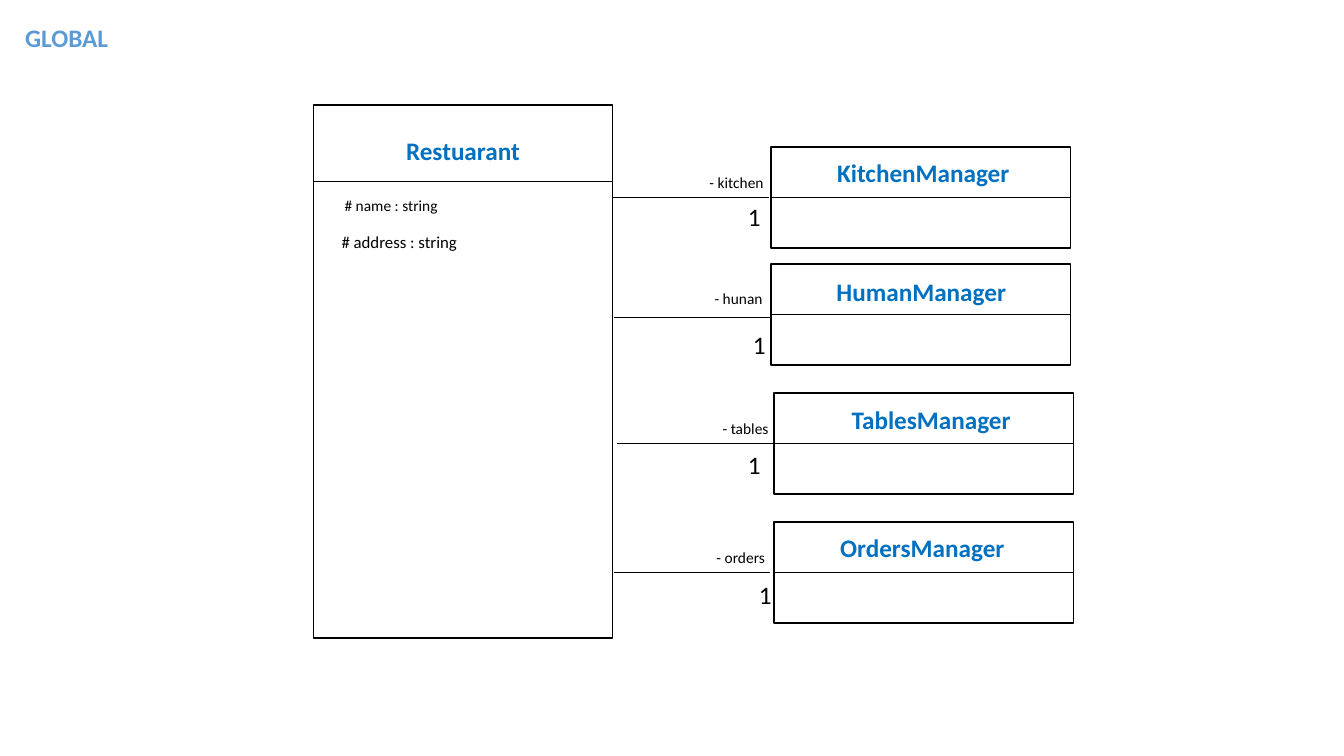
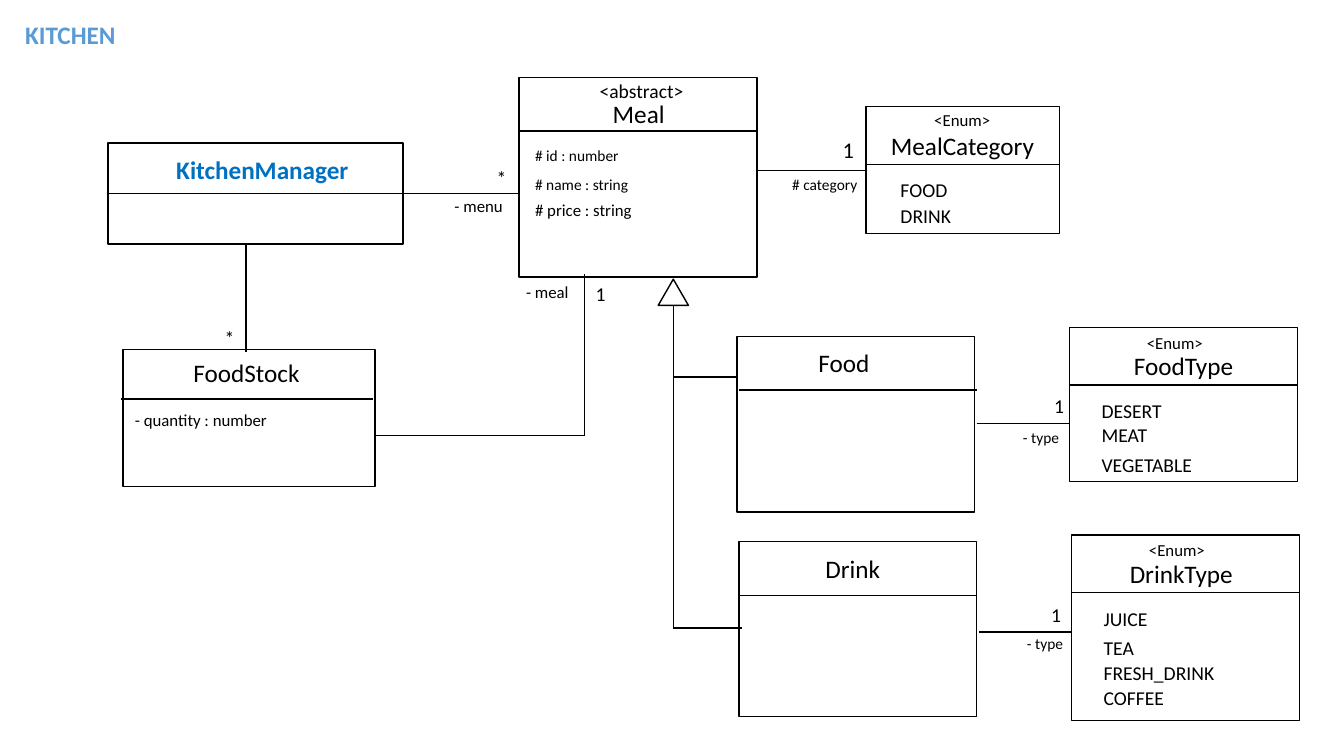
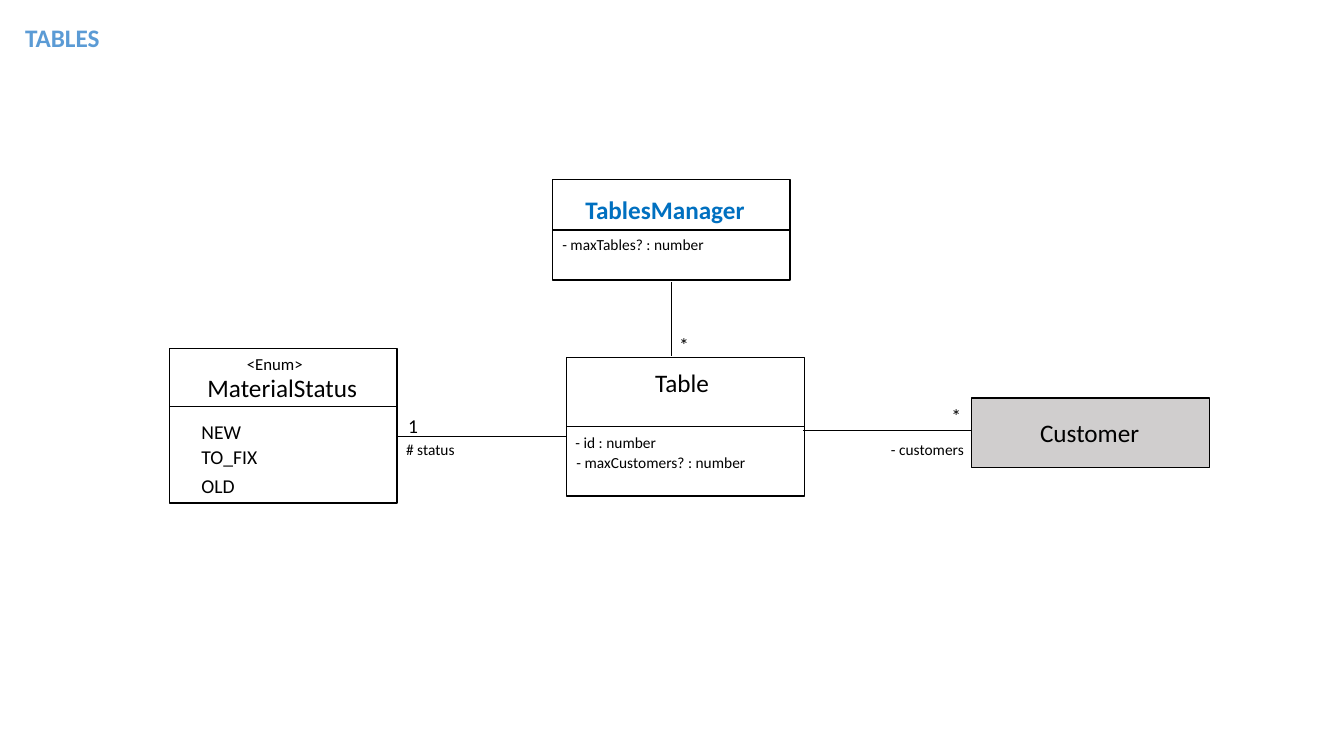
import pptx
import pptx.dml.color
import pptx.enum.shapes
import pptx.enum.text
import pptx.oxml.ns
import pptx.util
import lxml.etree

RGBColor = pptx.dml.color.RGBColor
MSO_SHAPE = pptx.enum.shapes.MSO_SHAPE
PP_ALIGN = pptx.enum.text.PP_ALIGN

BLACK = RGBColor(0x00, 0x00, 0x00)
WHITE = RGBColor(0xFF, 0xFF, 0xFF)
GREY = RGBColor(0xD0, 0xCE, 0xCE)
TITLE_BLUE = RGBColor(0x5B, 0x9B, 0xD5)
MANAGER_BLUE = RGBColor(0x00, 0x70, 0xC0)
FONT = "Calibri"

CELL = 0.1
COLS, ROWS = 133.33, 75
MANAGER_H = 10
ENUM_HEAD = 5.7


def cells(n):
    return pptx.util.Inches(n * CELL)


def label(s, x, y, w, text, size=11, color=BLACK, bold=False, align=PP_ALIGN.LEFT):
    h = (size * 1.2 / 72 + 0.1) / CELL
    sp = s.shapes.add_textbox(cells(x), cells(y), cells(w), cells(h))
    tf = sp.text_frame
    tf.word_wrap = True
    tf.auto_size = pptx.enum.text.MSO_AUTO_SIZE.SHAPE_TO_FIT_TEXT
    p = tf.paragraphs[0]
    p.text = text
    p.alignment = align
    p.font.name = FONT
    p.font.size = pptx.util.Pt(size)
    p.font.bold = bold
    p.font.color.rgb = color


def labels(s, items):
    for item in items:
        label(s, *item)


def outline(s, x, y, w, h, fill=WHITE, kind=MSO_SHAPE.RECTANGLE):
    sp = s.shapes.add_shape(kind, cells(x), cells(y), cells(w), cells(h))
    sp.shadow.inherit = False
    sp.fill.solid()
    sp.fill.fore_color.rgb = fill
    sp.line.color.rgb = BLACK
    sp.line.width = pptx.util.Pt(1)


def line(s, x1, y1, x2, y2):
    cx = s.shapes.add_connector(pptx.enum.shapes.MSO_CONNECTOR.STRAIGHT,
                                cells(x1), cells(y1), cells(x2), cells(y2))
    cx.line.color.rgb = BLACK
    cx.line.width = pptx.util.Pt(1)
    lxml.etree.SubElement(cx._element.spPr, pptx.oxml.ns.qn("a:effectLst"))


def lines(s, items):
    for item in items:
        line(s, *item)


def class_box(s, x, y, w, h, head, shift=0):
    outline(s, x, y, w, h)
    line(s, x + shift, y + head, x + shift + w, y + head)


def manager(s, x, y, w, name, name_dx, name_dy, name_w, align=PP_ALIGN.LEFT):
    class_box(s, x, y, w, MANAGER_H, MANAGER_H / 2)
    label(s, x + name_dx, y + name_dy, name_w, name, 18, MANAGER_BLUE, True, align)


def enum_box(s, x, y, w, h, name, name_dx, name_w, members, indent=2.2, tag_dx=6.7, tag_dy=0):
    class_box(s, x, y, w, h, ENUM_HEAD)
    label(s, x + name_dx, y + 1.8, name_w, name, 18)
    label(s, x + tag_dx, y + tag_dy, 10, "<Enum>", 12)
    for member, dy in members:
        label(s, x + indent, y + dy, 14, member, 14)


def new_slide(prs, title, y=1.7):
    s = prs.slides.add_slide(prs.slide_layouts[6])
    label(s, 1.5, y, 11.5, title, 18, TITLE_BLUE, True)
    return s


def global_slide(prs):
    s = new_slide(prs, "GLOBAL")
    class_box(s, 31.1, 10.4, 29.7, 52.9, 7.6)
    label(s, 39.3, 12.9, 14, "Restuarant", 18, MANAGER_BLUE, True)
    labels(s, [(33.2, 19, 12, "# name : string"),
               (32.9, 22.5, 14, "# address : string", 12)])
    center, left = PP_ALIGN.CENTER, PP_ALIGN.LEFT
    managers = [
        (76.5, 14.6, "KitchenManager", 3.7, 0.5, 22.8, center),
        (76.5, 26.2, "HumanManager", 5.5, 0.7, 19.4, left),
        (76.8, 39, "TablesManager", 6.7, 0.6, 18.4, left),
        (76.8, 51.8, "OrdersManager", 3.2, 0.5, 23, center),
    ]
    for x, y, name, dx, dy, w, align in managers:
        manager(s, x, y, 29.7, name, dx, dy, w, align)
    lines(s, [(60.8, 19.6, 76.3, 19.6), (60.9, 31.5, 76.5, 31.5),
              (61.2, 44, 76.8, 44), (60.9, 56.8, 76.4, 56.8)])
    for x, y, role in [(69.4, 16.7, "- kitchen"), (69.9, 28.2, "- hunan"),
                       (70.7, 41.1, "- tables"), (70.1, 53.9, "- orders")]:
        label(s, x, y, 8, role)
    for x, y in [(73.2, 19.5), (73.7, 32.2), (73.2, 44.1), (74.3, 57)]:
        label(s, x, y, 3.5, "1", 18)


def kitchen_slide(prs):
    s = new_slide(prs, "KITCHEN", 1.4)
    class_box(s, 51.5, 7.7, 23.6, 19.8, 5.3)
    class_box(s, 12.2, 34.7, 25, 13.6, 4.9, -0.2)
    class_box(s, 73.1, 33.4, 23.6, 17.4, 5.3, 0.2)
    class_box(s, 73.3, 53.7, 23.6, 17.4, 5.4)
    manager(s, 10.7, 14.2, 29.3, "KitchenManager", 5.8, 0.6, 19.8)
    enum_box(s, 85.9, 10.6, 19.2, 12.6, "MealCategory", 1.5, 17,
             [("FOOD", 6.6), ("DRINK", 9.1)], 2.45, 5.8, -0.2)
    enum_box(s, 106.1, 32.5, 22.6, 15.3, "FoodType", 5.4, 13.6,
             [("DESERT", 6.6), ("MEAT", 9), ("VEGETABLE", 11.9)])
    enum_box(s, 106.3, 53.1, 22.6, 18.4, "DrinkType", 4.8, 13,
             [("JUICE", 6.6), ("TEA", 9.5), ("FRESH_DRINK", 12), ("COFFEE", 14.5)])
    outline(s, 65.3, 27.7, 3, 2.6, kind=MSO_SHAPE.ISOSCELES_TRIANGLE)
    lines(s, [
        (39.6, 19.2, 51.4, 19.2), (75.1, 16.9, 85.8, 16.9),
        (24.4, 24.2, 24.4, 34.9), (58, 27.2, 58, 43.2), (58, 43.2, 37.3, 43.2),
        (66.8, 62.4, 66.8, 30.3), (66.8, 37.4, 73.2, 37.4), (66.8, 62.3, 73.6, 62.3),
        (96.9, 42, 106.1, 42), (97.1, 62.7, 106.3, 62.7),
    ])
    labels(s, [
        (58.5, 7.3, 11, "<abstract>", 14), (59.8, 9.3, 8.1, "Meal", 18),
        (52.1, 14, 11, "# id : number"), (52.1, 16.9, 12, "# name : string"),
        (52.1, 19.3, 12.2, "# price : string", 12),
        (18.2, 35, 18.2, "FoodStock", 18), (12.4, 40.2, 18.9, "- quantity : number", 12),
        (80.9, 54.4, 8, "Drink", 18), (80.2, 34, 8, "Food", 18),
        (48.3, 16, 3, "*", 14), (44.1, 18.9, 10.1, "- menu", 12),
        (21.3, 31.8, 3, "*", 14),
        (58.1, 27.5, 3, "1", 14), (51.2, 27.5, 7.8, "- meal", 12),
        (82.6, 13, 3.1, "1", 16), (77.6, 16.9, 9.2, "# category"),
        (103.6, 38.6, 3, "1", 14), (100.5, 42, 6, "- type"),
        (103.3, 59.3, 3, "1", 14), (100.9, 62.4, 6, "- type"),
    ])


def tables_slide(prs):
    s = new_slide(prs, "TABLES")
    class_box(s, 56.2, 35.5, 23.6, 13.7, 6.8)
    manager(s, 54.8, 17.8, 23.6, "TablesManager", 2.3, 1, 18.4)
    outline(s, 96.4, 39.5, 23.6, 6.9, GREY)
    enum_box(s, 16.8, 34.6, 22.6, 15.3, "MaterialStatus", 2.8, 17.4,
             [("NEW", 6.6), ("TO_FIX", 9), ("OLD", 11.9)])
    lines(s, [(66.6, 35.3, 66.6, 28), (39.5, 43.3, 56.2, 43.3),
              (79.7, 42.7, 96.4, 42.7)])
    labels(s, [
        (64, 35.9, 8, "Table", 18), (102.2, 40.9, 12.4, "Customer", 18),
        (54.8, 22.8, 17, "- maxTables? : number"),
        (56.1, 42.5, 10.5, "- id : number"),
        (56.2, 44.5, 19.5, "- maxCustomers? : number"),
        (66.4, 32.5, 3, "*", 14),
        (93.4, 39.6, 3, "*", 14), (87.4, 43.2, 9.7, "- customers"),
        (39.5, 40.6, 3, "1", 14), (39.3, 43.2, 7.6, "# status"),
    ])


def main():
    prs = pptx.Presentation()
    prs.slide_width = cells(COLS)
    prs.slide_height = cells(ROWS)
    global_slide(prs)
    kitchen_slide(prs)
    tables_slide(prs)
    prs.save("out.pptx")


if __name__ == "__main__":
    main()
